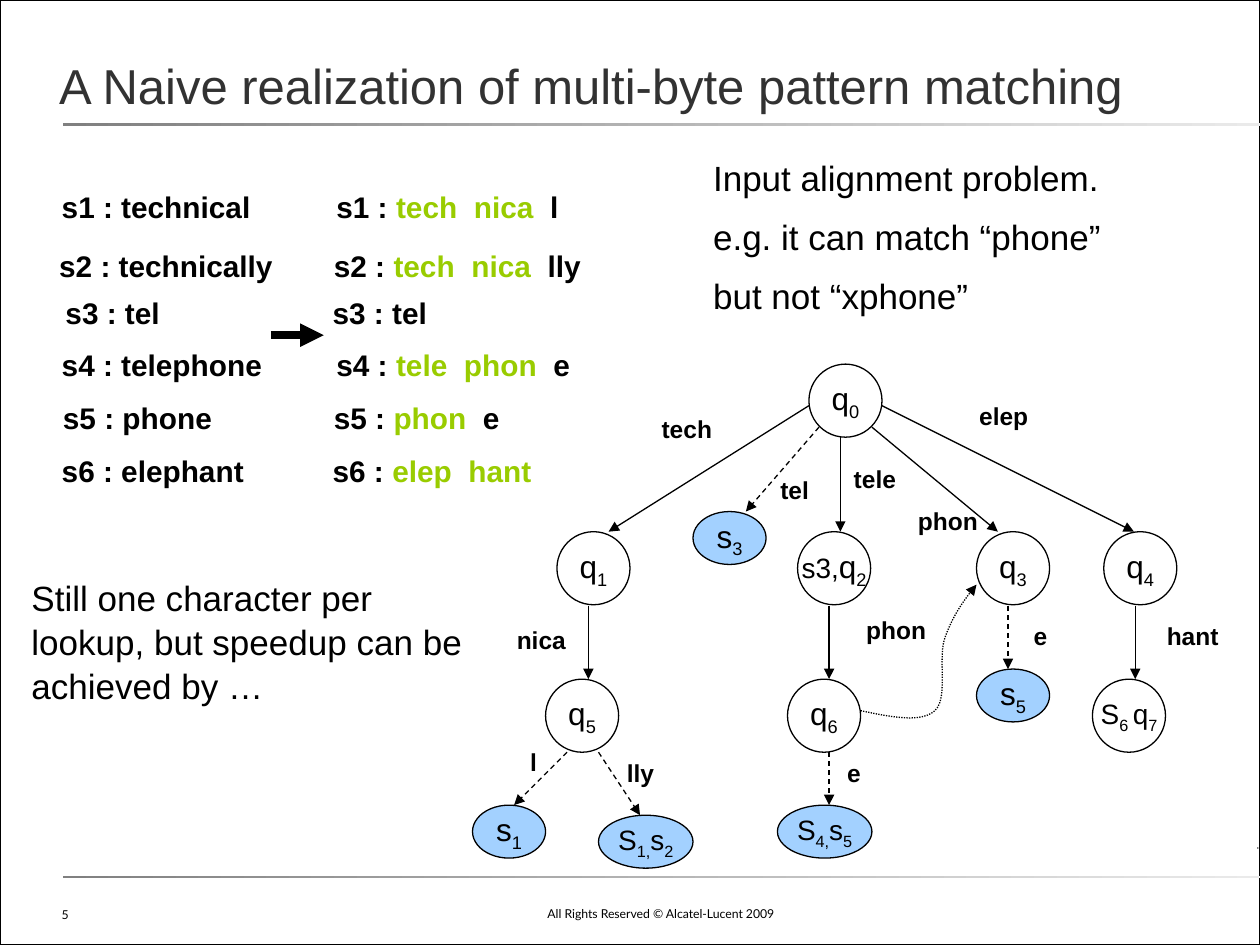
from lxml import etree
from pptx import Presentation
from pptx.dml.color import RGBColor
from pptx.enum.dml import MSO_LINE
from pptx.enum.shapes import MSO_CONNECTOR, MSO_SHAPE
from pptx.enum.text import MSO_ANCHOR, MSO_AUTO_SIZE, PP_ALIGN
from pptx.oxml.ns import qn
from pptx.util import Inches, Pt

RECTANGLE, OVAL, STRAIGHT = MSO_SHAPE.RECTANGLE, MSO_SHAPE.OVAL, MSO_CONNECTOR.STRAIGHT
DASH, DOTS = MSO_LINE.DASH, MSO_LINE.ROUND_DOT
TOP, MIDDLE, BOTTOM = MSO_ANCHOR.TOP, MSO_ANCHOR.MIDDLE, MSO_ANCHOR.BOTTOM
LEFT, CENTER, RIGHT = PP_ALIGN.LEFT, PP_ALIGN.CENTER, PP_ALIGN.RIGHT

THEME = {
    "font": "Arial", "footer_font": "Lato",
    "ink": "000000", "title": "323232", "chunk": "99CC00", "match": "99CCFF",
    "paper": "FFFFFF", "rule_dark": "808080", "rule_light": "EAEAEA", "dot_light": "D5D5D5",
    "title_size": 28, "body_size": 20, "word_size": 17, "label_size": 14,
    "node_size": 18, "small_size": 16, "footer_size": 7,
    "line": 0.75, "frame": 1, "thick": 4.5,
}
SLIDE_WIDTH, SLIDE_HEIGHT = 10, 7.5

TITLE = "A Naive realization of multi-byte pattern matching"
PROBLEM = ["Input alignment problem.", "e.g. it can match “phone”", "but not “xphone”"]
REMARK = ["Still one character per lookup, but speedup can be achieved by …"]
FOOTER, PAGE_NUMBER = "All Rights Reserved © Alcatel-Lucent 2009", "5"

# top, (left, word), (left, name, chunks of four letters, rest)
WORDS = [
    (1.5, (0.49, "s1 : technical"), (2.67, "s1 : ", ["tech", "nica"], "l")),
    (1.97, (0.47, "s2 : technically"), (2.65, "s2 : ", ["tech", "nica"], "lly")),
    (2.34, (0.52, "s3 : tel"), (2.64, "s3 : tel", [], "")),
    (2.75, (0.49, "s4 : telephone"), (2.67, "s4 : ", ["tele", "phon"], "e")),
    (3.17, (0.5, "s5 : phone"), (2.65, "s5 : ", ["phon"], "e")),
    (3.59, (0.49, "s6 : elephant"), (2.64, "s6 : ", ["elep", "hant"], "")),
]

STATE, MATCH, WIDE_MATCH = (0.58, 0.58), (0.58, 0.42), (0.75, 0.42)
ROW_1, ROW_2, ROW_3, ROW_4 = 2.89, 4.22, 5.39, 6.39
NORMAL, SMALL = THEME["node_size"], THEME["small_size"]
# left, top, kind, list of (text, subscript, size)
NODES = [
    (6.42, ROW_1, STATE, [("q", "0", NORMAL)]),
    (4.42, ROW_2, STATE, [("q", "1", NORMAL)]),
    (6.33, ROW_2, STATE, [("s3,", "", SMALL), ("q", "2", NORMAL)]),
    (7.75, ROW_2, STATE, [("q", "3", NORMAL)]),
    (8.76, ROW_2, STATE, [("q", "4", NORMAL)]),
    (4.33, ROW_3, STATE, [("q", "5", NORMAL)]),
    (6.25, ROW_3, STATE, [("q", "6", NORMAL)]),
    (8.67, ROW_3, STATE, [("S", "6 ", SMALL), ("q", "7", SMALL)]),
    (5.5, 4.06, MATCH, [("s", "3", NORMAL)]),
    (7.75, 5.31, MATCH, [("s", "5", NORMAL)]),
    (3.75, ROW_4, MATCH, [("s", "1", NORMAL)]),
    (4.75, 6.47, WIDE_MATCH, [("S", "1,", SMALL), ("s", "2", SMALL)]),
    (6.17, ROW_4, WIDE_MATCH, [("S", "4,", SMALL), ("s", "5", SMALL)]),
]

# start, end, dash, label, left, top and width of the label
EDGES = [
    ((6.42, 3.22), (4.83, 4.22), None, "tech", 5.13, 3.24, 0.62),
    ((6.67, 3.47), (6.67, 4.22), None, "tele", 6.64, 3.63, 0.57),
    ((6.92, 3.39), (7.92, 4.22), None, "phon", 7.16, 3.97, 0.7),
    ((7, 3.22), (9, 4.22), None, "elep", 7.65, 3.13, 0.61),
    ((4.67, 4.81), (4.67, 5.39), None, "nica", 3.97, 4.91, 0.62),
    ((6.58, 4.81), (6.58, 5.39), None, "phon", 6.75, 4.83, 0.7),
    ((9.01, 4.81), (9.01, 5.39), None, "hant", 9.12, 4.88, 0.65),
    ((6.5, 3.39), (5.92, 4.06), DASH, "tel", 6.06, 3.72, 0.46),
    ((8, 4.81), (8, 5.31), DASH, "e", 8.1, 4.88, 0.31),
    ((6.58, 5.97), (6.58, 6.39), DASH, "e", 6.62, 5.97, 0.31),
    ((4.5, 5.97), (4.08, 6.39), DASH, "l", 4.09, 5.88, 0.27),
    ((4.75, 5.97), (5.08, 6.47), DASH, "lly", 4.84, 5.97, 0.45),
]
# Bézier control points from q6 to q3, three further points for each span
BACK_EDGE = [(6.83, 5.64), (7.07, 5.69), (7.31, 5.74), (7.42, 5.64), (7.53, 5.54),
             (7.44, 5.22), (7.5, 5.06), (7.56, 4.89), (7.65, 4.76), (7.75, 4.64)]
CURVE_STEPS = 12


def color(name):
    return RGBColor.from_string(THEME[name])


def add_run(paragraph, text, size, ink="ink", bold=False, font="font"):
    run = paragraph.add_run()
    run.text = text
    run.font.name, run.font.size, run.font.bold = THEME[font], Pt(size), bold
    run.font.color.rgb = color(ink)
    return run


def add_text(slide, box, lines, size, inset=True, wrap=False, align=LEFT, anchor=TOP,
             spacing=None, after=None, **style):
    """Add a text box; each line is one paragraph. Returns its text frame."""
    frame = slide.shapes.add_textbox(*map(Inches, box)).text_frame
    frame.word_wrap, frame.vertical_anchor = wrap, anchor
    frame.auto_size = MSO_AUTO_SIZE.SHAPE_TO_FIT_TEXT if anchor == TOP else MSO_AUTO_SIZE.NONE
    if not inset:
        frame.margin_left = frame.margin_top = frame.margin_right = frame.margin_bottom = 0
    for index, line in enumerate(lines):
        paragraph = frame.add_paragraph() if index else frame.paragraphs[0]
        paragraph.alignment, paragraph.line_spacing, paragraph.space_after = align, spacing, after
        add_run(paragraph, line, size, **style)
    return frame


def add_rule(slide, box, light):
    """Add a thin bar that fades from dark at the left to light at the right."""
    bar = slide.shapes.add_shape(RECTANGLE, *map(Inches, box))
    bar.shadow.inherit = False
    bar.line.fill.background()
    bar.fill.gradient()
    bar.fill.gradient_angle = 180
    for stop, name in zip(bar.fill.gradient_stops, (light, "rule_dark")):
        stop.color.rgb = color(name)


def style_arrow(shape, width, dash=None):
    shape.line.color.rgb, shape.line.width = color("ink"), Pt(width)
    if dash:
        shape.line.dash_style = dash
    etree.SubElement(shape.line._get_or_add_ln(), qn("a:tailEnd"), type="triangle")


def add_arrow(slide, start, end, width, dash=None):
    arrow = slide.shapes.add_connector(STRAIGHT, *map(Inches, start + end))
    style_arrow(arrow, width, dash)
    etree.SubElement(arrow._element.spPr, qn("a:effectLst"))


def add_node(slide, left, top, kind, label):
    node = slide.shapes.add_shape(OVAL, *map(Inches, (left, top, *kind)))
    node.shadow.inherit = False
    node.line.color.rgb, node.line.width = color("ink"), Pt(THEME["line"])
    if kind == STATE:
        node.fill.background()
    else:
        node.fill.solid()
        node.fill.fore_color.rgb = color("match")
        rgb = node._element.spPr.find(qn("a:solidFill"))[0]
        etree.SubElement(rgb, qn("a:alpha"), val="90000")
    node.text_frame.word_wrap, node.text_frame.vertical_anchor = False, MIDDLE
    paragraph = node.text_frame.paragraphs[0]
    paragraph.alignment = CENTER
    for text, subscript, size in label:
        add_run(paragraph, text, size)
        if subscript:
            add_run(paragraph, subscript, size).font._element.set("baseline", "-25000")


def add_split_word(slide, left, top, name, chunks, rest):
    """Add a word cut into coloured chunks, with a widened space between the parts."""
    size = THEME["word_size"]
    frame = add_text(slide, (left, top, 2, 0.28), [name], size, inset=False, bold=True)
    parts = [(chunk, "chunk") for chunk in chunks] + ([(rest, "ink")] if rest else [])
    for index, (text, ink) in enumerate(parts):
        if index:
            gap = add_run(frame.paragraphs[0], " ", size, bold=True)
            gap.font._element.set("spc", "470")
        add_run(frame.paragraphs[0], text, size, ink, bold=True)


def add_curve(slide, controls, dash):
    """Add an arrow along joined cubic Bézier spans."""
    points = [tuple(map(Inches, controls[0]))]
    for first in range(0, len(controls) - 1, 3):
        span = controls[first:first + 4]
        for step in range(1, CURVE_STEPS + 1):
            t = step / CURVE_STEPS
            weights = ((1 - t) ** 3, 3 * t * (1 - t) ** 2, 3 * t * t * (1 - t), t ** 3)
            points.append(tuple(Inches(sum(weight * point[axis] for weight, point
                                           in zip(weights, span))) for axis in (0, 1)))
    builder = slide.shapes.build_freeform(*points[0])
    builder.add_line_segments(points[1:], close=False)
    curve = builder.convert_to_shape()
    curve.shadow.inherit = False
    curve.fill.background()
    style_arrow(curve, THEME["line"], dash)


def main():
    presentation = Presentation()
    presentation.slide_width, presentation.slide_height = Inches(SLIDE_WIDTH), Inches(SLIDE_HEIGHT)
    slide = presentation.slides.add_slide(presentation.slide_layouts[6])

    page = slide.shapes.add_shape(RECTANGLE, 0, 0, Inches(SLIDE_WIDTH), Inches(SLIDE_HEIGHT))
    page.shadow.inherit = False
    page.fill.solid()
    page.fill.fore_color.rgb = color("paper")
    page.line.color.rgb, page.line.width = color("ink"), Pt(THEME["frame"])
    for top in (0.98, 6.95):
        add_rule(slide, (0.5, top, 9.5, 0.02), "rule_light")
    add_rule(slide, (9.98, 6.72, 0.01, 0.02), "dot_light")

    add_text(slide, (0.47, 0.08, 9.53, 0.83), [TITLE], THEME["title_size"], inset=False,
             wrap=True, anchor=BOTTOM, spacing=Pt(26), ink="title")
    add_text(slide, (5.66, 1.28, 3.5, 1.23), PROBLEM, THEME["body_size"], inset=False,
             spacing=0.9, after=Pt(12))
    add_text(slide, (0.25, 4.56, 3.46, 1.05), REMARK, THEME["body_size"], inset=False,
             wrap=True, spacing=1.05, after=Pt(12))

    for top, (left, word), (split_left, *split) in WORDS:
        add_text(slide, (left, top, 1.8, 0.28), [word], THEME["word_size"], inset=False, bold=True)
        add_split_word(slide, split_left, top, *split)
    add_arrow(slide, (2.15, 2.66), (2.57, 2.66), THEME["thick"])

    for node in NODES:
        add_node(slide, *node)
    for start, end, dash, label, left, top, width in EDGES:
        add_arrow(slide, start, end, THEME["line"], dash)
        add_text(slide, (left, top, width, 0.34), [label], THEME["label_size"],
                 align=RIGHT, bold=True)
    add_curve(slide, BACK_EDGE, DOTS)

    footer = {"size": THEME["footer_size"], "wrap": True, "anchor": BOTTOM, "font": "footer_font"}
    add_text(slide, (3.67, 7.11, 3.15, 0.25), [FOOTER], align=CENTER, **footer)
    add_text(slide, (0.39, 7.14, 3.49, 0.23), [PAGE_NUMBER], **footer)
    presentation.save("out.pptx")


if __name__ == "__main__":
    main()
